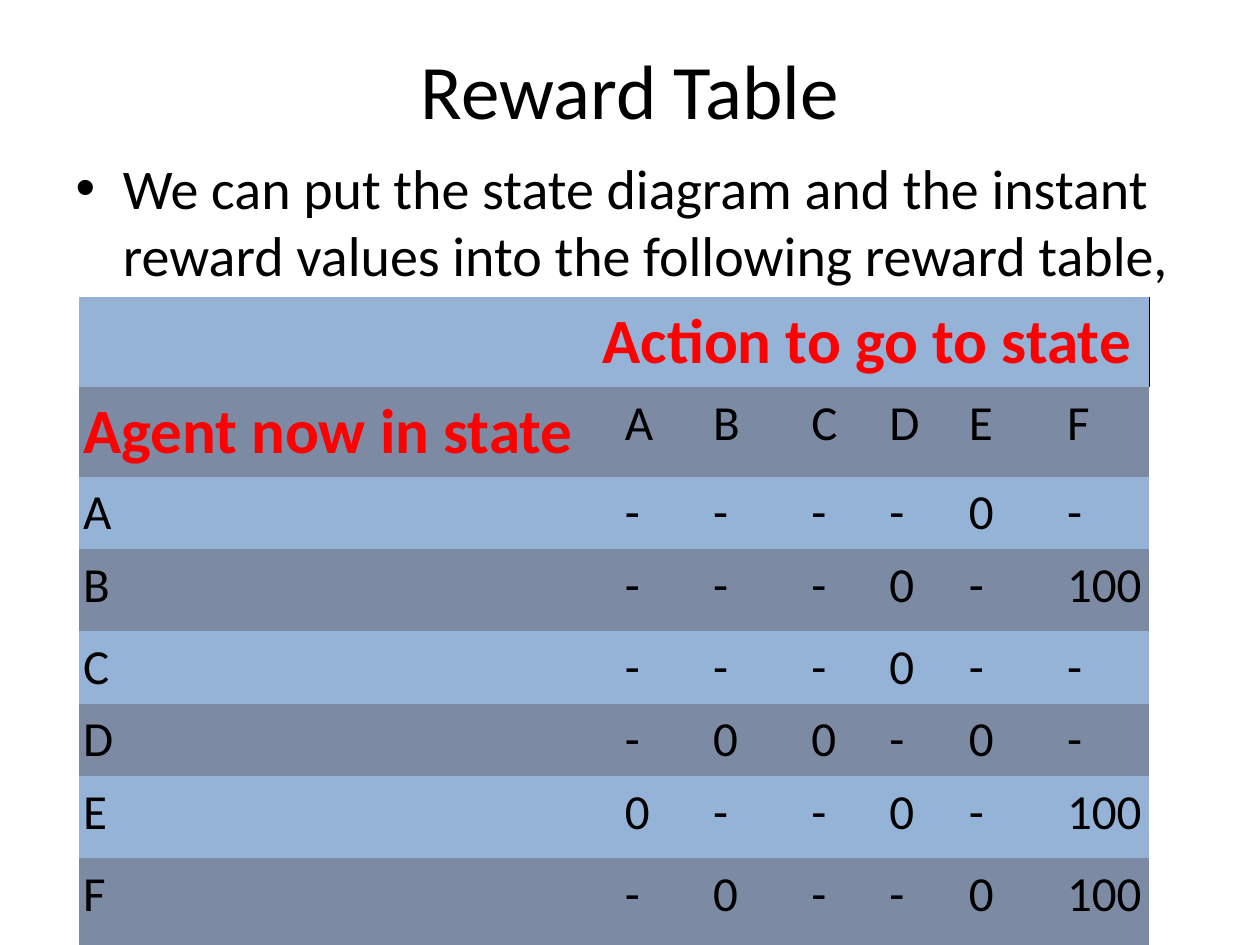
import pptx
import pptx.dml.color
import pptx.enum.text
import pptx.oxml
import pptx.oxml.ns
import pptx.util
from pptx.util import Inches

COLORS = {"text": "000000", "heading": "FF0000", "light": "95B3D7", "dark": "7C8AA4"}
FONT = "Calibri"
NO_STYLE_NO_GRID = "{2D5ABB26-0587-4C30-8999-92F81FD0307C}"
COLUMN_WIDTHS = [4.3, 0.7, 0.78, 0.62, 0.63, 0.78, 0.68]
ROW_HEIGHTS = [0.67, 0.67, 0.54, 0.65, 0.54, 0.54, 0.65, 0.82]
STATES = "ABCDEF"
REWARDS = {
    "A": "- - - - 0 -",
    "B": "- - - 0 - 100",
    "C": "- - - 0 - -",
    "D": "- 0 0 - 0 -",
    "E": "0 - - 0 - 100",
    "F": "- 0 - - 0 100",
}


def rgb(name):
    return pptx.dml.color.RGBColor.from_string(COLORS[name])


def set_font(font, size, color="text", bold=False):
    font.name = FONT
    font.size = pptx.util.Pt(size)
    font.bold = bold
    font.color.rgb = rgb(color)


def place(shape, left, top, width, height):
    shape.left, shape.top = Inches(left), Inches(top)
    shape.width, shape.height = Inches(width), Inches(height)


def fill_title(title):
    place(title, 0.5, 0.08, 9, 1.25)
    title.text_frame.text = "Reward Table"
    title.text_frame.vertical_anchor = pptx.enum.text.MSO_ANCHOR.MIDDLE
    set_font(title.text_frame.paragraphs[0].font, 44)


def fill_body(body):
    place(body, 0.5, 1.17, 9, 2.03)
    body.text_frame.auto_size = pptx.enum.text.MSO_AUTO_SIZE.NONE
    body.text_frame.text = (
        "We can put the state diagram and the instant reward values "
        "into the following reward table,"
    )
    sentence = body.text_frame.paragraphs[0]
    sentence.space_before = pptx.util.Pt(0)
    set_font(sentence.font, 32)


def fill_cell(cell, text, fill, heading=False):
    cell.margin_left = cell.margin_right = Inches(0.03)
    cell.margin_top = cell.margin_bottom = Inches(0.05)
    cell.fill.solid()
    cell.fill.fore_color.rgb = rgb(fill)
    cell.text = text
    font = cell.text_frame.paragraphs[0].font
    if heading:
        set_font(font, 36, "heading", bold=True)
    else:
        set_font(font, 28)


def add_right_border(cell, points):
    border = pptx.oxml.parse_xml(
        f'<a:lnR {pptx.oxml.ns.nsdecls("a")} w="{pptx.util.Pt(points)}"><a:solidFill>'
        f'<a:srgbClr val="{COLORS["text"]}"/></a:solidFill></a:lnR>'
    )
    cell._tc.get_or_add_tcPr().insert(0, border)


def add_reward_table(slide):
    rows = [["Action to go to state "] + [""] * len(STATES)]
    rows.append(["Agent now in state", *STATES])
    rows += [[state, *REWARDS[state].split()] for state in STATES]

    frame = slide.shapes.add_table(
        len(rows), len(COLUMN_WIDTHS),
        Inches(0.63), Inches(2.36), Inches(8.5), Inches(5.07),
    )
    table = frame.table
    table.first_row = table.horz_banding = False
    table._tbl.tblPr.find(pptx.oxml.ns.qn("a:tableStyleId")).text = NO_STYLE_NO_GRID
    for column, width in zip(table.columns, COLUMN_WIDTHS):
        column.width = Inches(width)
    for row, height in zip(table.rows, ROW_HEIGHTS):
        row.height = Inches(height)

    for r, values in enumerate(rows):
        for c, value in enumerate(values):
            fill = "dark" if r % 2 else "light"
            fill_cell(table.cell(r, c), value, fill, heading=r < 2 and c == 0)

    action_heading = table.cell(0, 0)
    action_heading.merge(table.cell(0, len(STATES)))
    action_heading.text_frame.paragraphs[0].alignment = pptx.enum.text.PP_ALIGN.RIGHT
    add_right_border(action_heading, 0.45)


def main():
    deck = pptx.Presentation()
    deck.slide_width, deck.slide_height = Inches(10), Inches(7.5)
    slide = deck.slides.add_slide(deck.slide_layouts[1])
    fill_title(slide.shapes.title)
    fill_body(slide.placeholders[1])
    add_reward_table(slide)
    deck.save("out.pptx")


if __name__ == "__main__":
    main()
